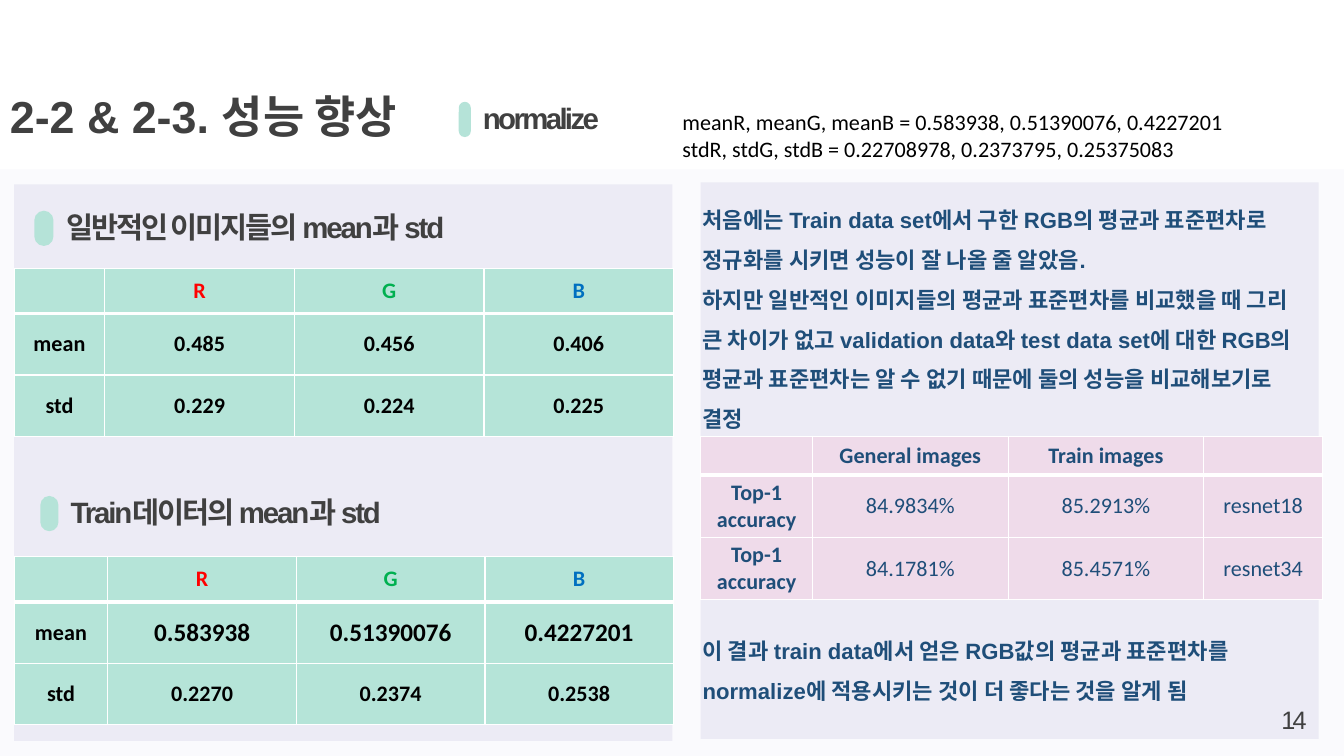
from lxml import etree
from pptx import Presentation
from pptx import util as u
from pptx.dml.color import RGBColor
from pptx.enum import shapes, text
from pptx.oxml.ns import qn

COLORS = {
    "band": "FAFAFD", "panel": "ECEBF5", "mint": "B5E3D8", "mint_cell": "B5E4D8",
    "pink_cell": "EFDBEA", "gray": "404040", "navy": "1F4E79", "black": "000000",
    "red": "FF0000", "green": "00B050", "blue": "0070C0", "white": "FFFFFF",
}
BLOCKS = [
    ("band", (0, 1.68, 13.33, 5.82)),
    ("panel", (0.14, 1.83, 6.53, 5.52)),
    ("panel", (6.95, 1.81, 6.13, 5.52)),
]
PILLS = [(4.55, 1.01, 0.12, 0.35), (0.4, 4.92, 0.18, 0.35), (0.34, 2.09, 0.19, 0.35)]
TITLE = ["2-2 & 2-3. 성능 향상"]
PAGE = ["14"]
HEADINGS = [
    ("normalize", (4.67, 0.91, 7.43, 0.56), -1.9),
    ("일반적인 이미지들의 mean과 std", (0.54, 1.94, 5.53, 0.66), -1.5),
    ("Train데이터의 mean과 std", (0.58, 4.77, 5.69, 0.66), -1.5),
]
NOTES = [
    ((6.87, 1.87, 6.22, 2.45), [
        "처음에는 Train data set에서 구한 RGB의 평균과 표준편차로 정규화를 시키면 성능이 잘 나올 줄 알았음.",
        "하지만 일반적인 이미지들의 평균과 표준편차를 비교했을 때 그리 큰 차이가 없고 validation data와 "
        "test data set에 대한 RGB의 평균과 표준편차는 알 수 없기 때문에 둘의 성능을 비교해보기로 결정",
    ]),
    ((6.87, 6.14, 6.22, 0.85), [
        "이 결과 train data에서 얻은 RGB값의 평균과 표준편차를 normalize에 적용시키는 것이 더 좋다는 것을 알게 됨",
    ]),
]
FORMULAS = [
    "meanR, meanG, meanB = 0.583938, 0.51390076, 0.4227201",
    "stdR, stdG, stdB = 0.22708978, 0.2373795, 0.25375083",
]
CHANNELS = {"R": "red", "G": "green", "B": "blue"}
GENERAL = [
    ("", "R", "G", "B"),
    ("mean", "0.485", "0.456", "0.406"),
    ("std", "0.229", "0.224", "0.225"),
]
TRAIN = [
    ("", "R", "G", "B"),
    ("mean", "0.583938", "0.51390076", "0.4227201"),
    ("std", "0.2270", "0.2374", "0.2538"),
]
ACCURACY = [
    ("", "General images", "Train images", ""),
    ("Top-1\naccuracy", "84.9834%", "85.2913%", "resnet18"),
    ("Top-1\naccuracy", "84.1781%", "85.4571%", "resnet34"),
]
LARGE = TRAIN[1][1:]
RGB_ROWS = (0.45, 0.61, 0.61)
TABLES = [
    (GENERAL, (0.14, 2.66), (0.9, 1.88, 1.88, 1.88), RGB_ROWS, "mint_cell", "black"),
    (TRAIN, (0.14, 5.52), (0.93, 1.87, 1.87, 1.87), RGB_ROWS, "mint_cell", "black"),
    (ACCURACY, (6.95, 4.33), (1.11, 1.94, 1.94, 1.18), (0.36, 0.62, 0.62), "pink_cell", "navy"),
]


def rgb(name):
    return RGBColor.from_string(COLORS[name])


def inches(values):
    return [u.Inches(v) for v in values]


def add_block(s, kind, box, color):
    sp = s.shapes.add_shape(kind, *inches(box))
    sp.shadow.inherit = False
    sp.fill.solid()
    sp.fill.fore_color.rgb = rgb(color)
    sp.line.fill.background()
    return sp


def write(tf, lines, size, color, font="Arial", bold=False, align=None, spacing=None, kern=0):
    for i, line in enumerate(lines):
        p = tf.paragraphs[0] if i == 0 else tf.add_paragraph()
        p.alignment = align
        p.line_spacing = spacing
        r = p.add_run()
        r.text = line
        r.font.size = u.Pt(size)
        r.font.name = font
        r.font.bold = bold
        r.font.color.rgb = rgb(color)
        if kern:
            r._r.get_or_add_rPr().set("spc", str(round(kern * 100)))


def add_text(s, box, lines, size, color, anchor=text.MSO_ANCHOR.TOP, wide=False,
             grow=False, wrap=True, **style):
    tf = s.shapes.add_textbox(*inches(box)).text_frame
    tf.word_wrap = wrap
    tf.vertical_anchor = anchor
    if grow:
        tf.auto_size = text.MSO_AUTO_SIZE.SHAPE_TO_FIT_TEXT
    if wide:
        tf.margin_left = tf.margin_right = u.Inches(0.12)
        tf.margin_top = tf.margin_bottom = u.Inches(0.06)
    write(tf, lines, size, color, **style)


def add_borders(cell, row):
    widths = {"L": 1, "R": 1, "T": 3 if row == 1 else 1, "B": 3 if row == 0 else 1}
    tcPr = cell._tc.get_or_add_tcPr()
    for side, width in widths.items():
        ln = etree.SubElement(tcPr, qn("a:ln" + side), w=str(u.Pt(width)))
        fill = etree.SubElement(ln, qn("a:solidFill"))
        etree.SubElement(fill, qn("a:srgbClr"), val=COLORS["white"])


def add_grid(s, rows, at, widths, heights, fill, color):
    size = (sum(widths), sum(heights))
    table = s.shapes.add_table(len(rows), len(widths), *inches(at + size)).table
    for column, width in zip(table.columns, widths):
        column.width = u.Inches(width)
    for i, (values, height) in enumerate(zip(rows, heights)):
        table.rows[i].height = u.Inches(height)
        for j, value in enumerate(values):
            cell = table.cell(i, j)
            cell.vertical_anchor = text.MSO_ANCHOR.MIDDLE
            cell.margin_top = cell.margin_bottom = u.Inches(0.04)
            add_borders(cell, i)
            cell.fill.solid()
            cell.fill.fore_color.rgb = rgb(fill)
            if value:
                write(cell.text_frame, value.split("\n"), 18 if value in LARGE else 15.8,
                      CHANNELS.get(value, color), font="Calibri",
                      bold=rows is not ACCURACY or i == 0 or j == 0,
                      align=text.PP_ALIGN.CENTER)


def main():
    prs = Presentation()
    prs.slide_width, prs.slide_height = inches((13.33, 7.5))
    s = prs.slides.add_slide(prs.slide_layouts[6])
    for color, box in BLOCKS:
        add_block(s, shapes.MSO_SHAPE.RECTANGLE, box, color)
    add_text(s, (11.33, 6.17, 1.75, 1.18), PAGE, 18, "gray", text.MSO_ANCHOR.BOTTOM, wide=True,
             align=text.PP_ALIGN.RIGHT, spacing=0.9, kern=-1.9)
    add_text(s, (0, 0.89, 5.34, 0.94), TITLE, 32, "gray", bold=True, spacing=0.9)
    for box in PILLS:
        add_block(s, shapes.MSO_SHAPE.ROUNDED_RECTANGLE, box, "mint").adjustments[0] = 0.5
    for heading, box, kern in HEADINGS:
        add_text(s, box, [heading], 21, "gray", text.MSO_ANCHOR.MIDDLE, wide=True,
                 bold=True, spacing=0.9, kern=kern)
    for box, lines in NOTES:
        add_text(s, box, lines, 15.8, "navy", grow=True, bold=True, spacing=1.5)
    for grid in TABLES:
        add_grid(s, *grid)
    add_text(s, (6.67, 1.03, 5.62, 0.63), FORMULAS, 15.8, "black", grow=True, wrap=False,
             font="Calibri")
    prs.save("out.pptx")


if __name__ == "__main__":
    main()
